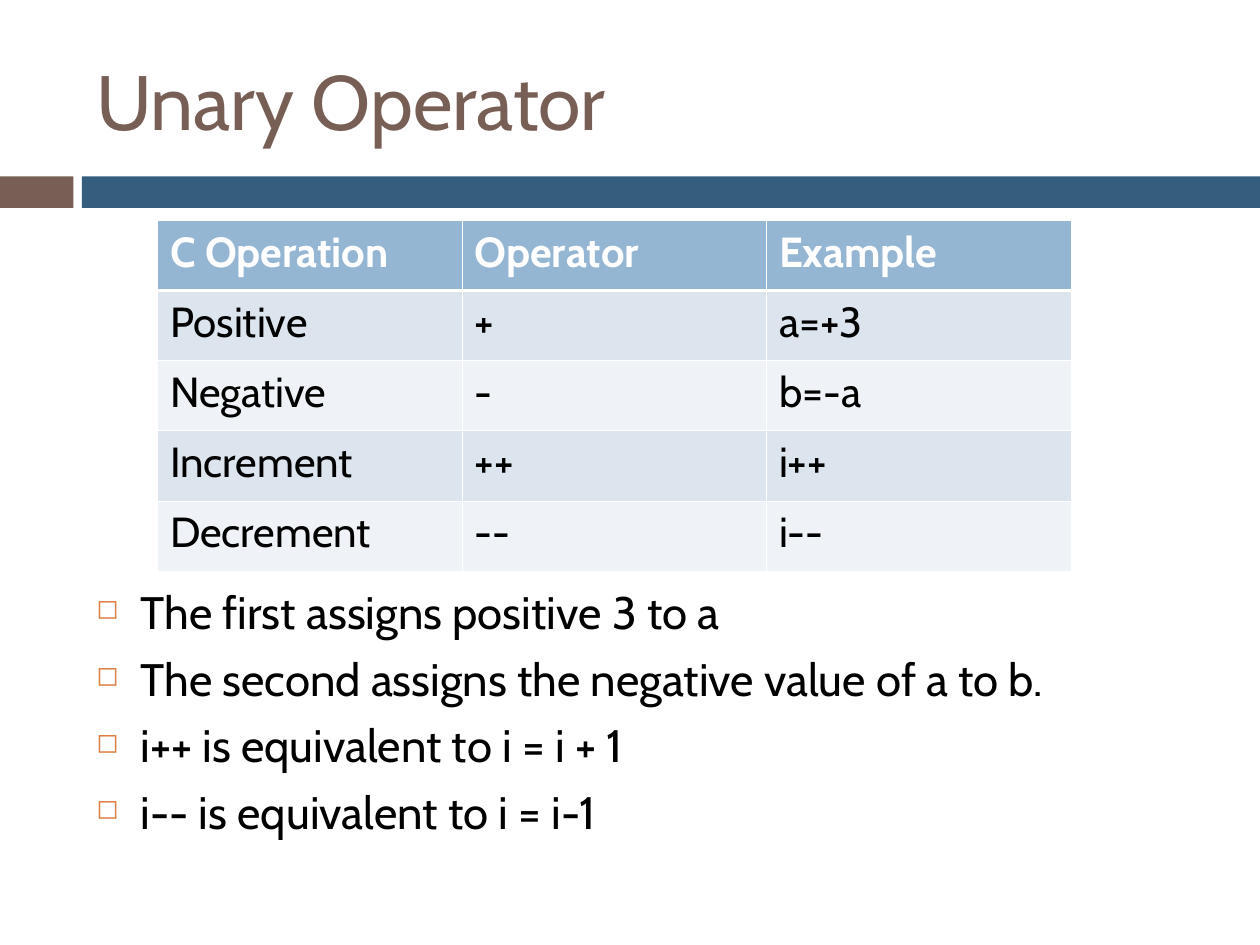
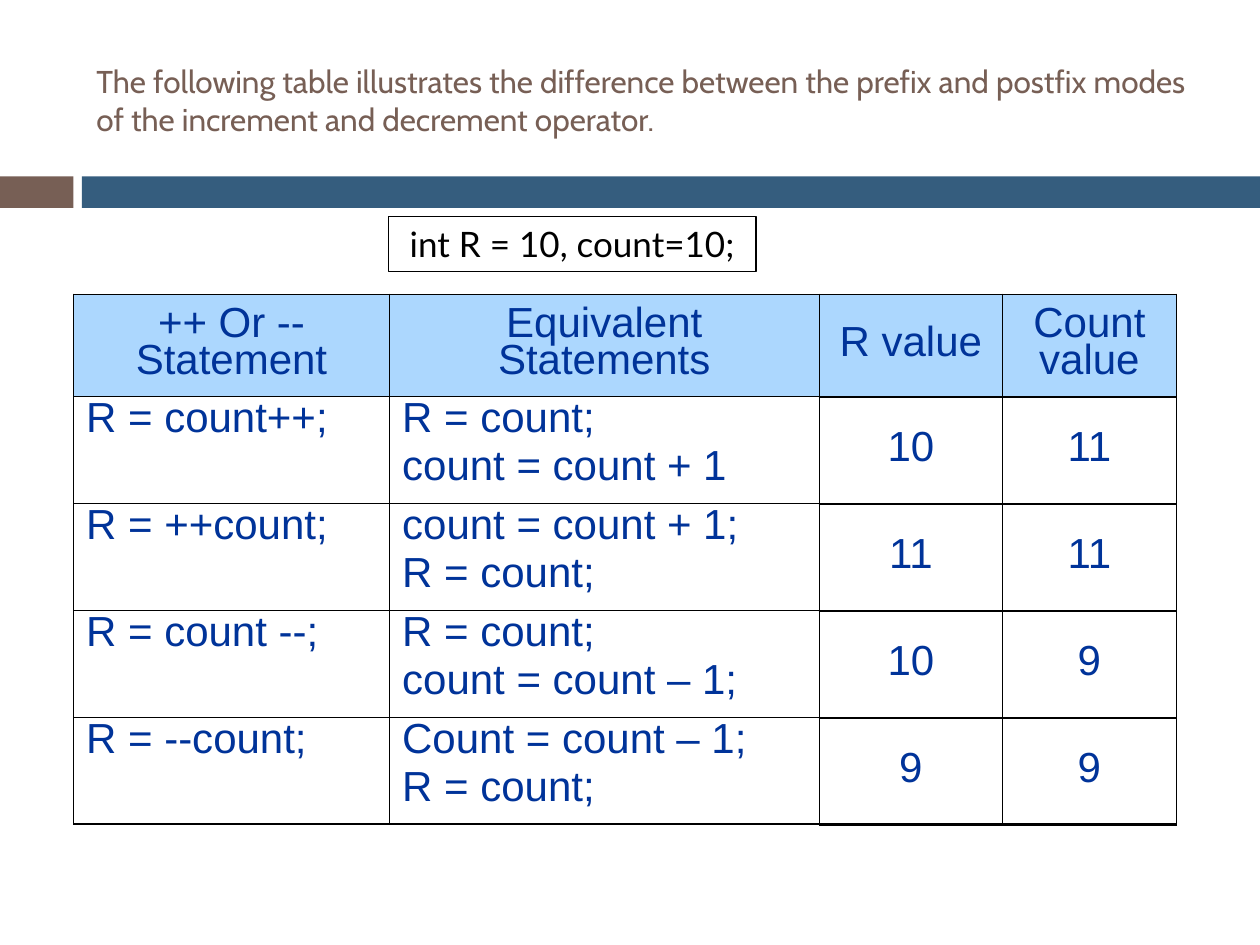
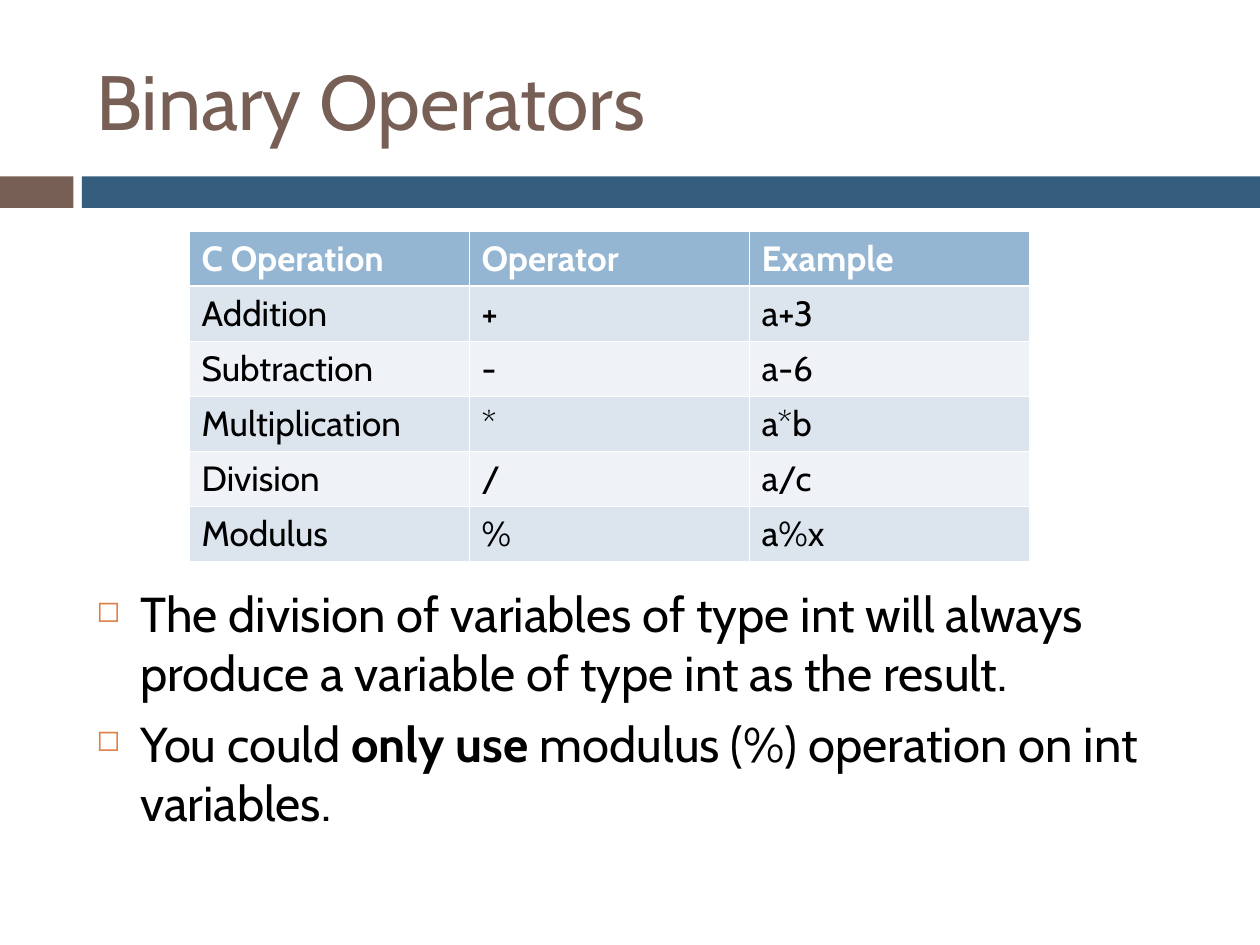
from lxml import etree
from pptx import Presentation, util as u
from pptx.dml.color import RGBColor
from pptx.enum import shapes, text
from pptx.oxml import ns

COLORS = {
    "brown": "775F55", "blue": "355D7E", "orange": "DD8047",
    "black": "000000", "white": "FFFFFF", "navy": "003399",
    "header": "94B6D2", "band_dark": "DCE5EE", "band_light": "EFF3F7",
    "sky": "ACD7FE",
}
FONT = "Cabin"
CELL = u.Inches(1) / 12  # the slide is a grid of 120 columns by 90 rows

TITLE_BOX = (8, 3, 107, 13)
BANDS = {"brown": (0, 16.8, 7, 3), "blue": (7.8, 16.8, 112.2, 3)}

UNARY_ROWS = [
    ["C Operation", "Operator", "Example"],
    ["Positive", "+", "a=+3"],
    ["Negative", "-", "b=-a"],
    ["Increment", "++", "i++"],
    ["Decrement", "--", "i--"],
]
UNARY_NOTES = [
    ["The first assigns positive 3 to a"],
    ["The second assigns the negative value of a to b."],
    ["i++ is equivalent to i = i + 1"],
    ["i-- is equivalent to i = i-1"],
]
BINARY_ROWS = [
    ["C Operation", "Operator", "Example"],
    ["Addition", "+", "a+3"],
    ["Subtraction", "-", "a-6"],
    ["Multiplication", "*", "a*b"],
    ["Division", "/", "a/c"],
    ["Modulus", "%", "a%x"],
]
# Every second run of a note is bold.
BINARY_NOTES = [
    ["The division of variables of type int will always produce "
     "a variable of type int as the result."],
    ["You could ", "only use", " modulus (%) operation on int variables."],
]
STATEMENT_ROWS = [
    ["++ Or -- Statement", "Equivalent Statements", "R value", "Count value"],
    ["R = count++;", "R = count;\ncount = count + 1", "", ""],
    ["R = ++count;", "count = count + 1;\nR = count;", "", ""],
    ["R = count --;", "R = count;\ncount = count – 1;", "", ""],
    ["R = --count;", "Count = count – 1;\nR = count;", "", ""],
]
RESULT_ROWS = [["10", "11"], ["11", "11"], ["10", "9"], ["9", "9"]]
STATEMENT_WIDTHS = [30.1, 40.9, 17.5, 16.5]
HEADER_HEIGHT, STATEMENT_HEIGHT = 9.7, 10.2


def grid(*lengths):
    return [u.Emu(round(length * CELL)) for length in lengths]


def rgb(name):
    return RGBColor.from_string(COLORS[name])


def add_run(paragraph, content, size, color, font=FONT, bold=False):
    run = paragraph.add_run()
    run.text = content
    run.font.size = u.Pt(size)
    run.font.name = font
    run.font.bold = bold
    run.font.color.rgb = rgb(color)


def add_text_frame(slide, box, anchor=text.MSO_ANCHOR.TOP):
    frame = slide.shapes.add_textbox(*grid(*box)).text_frame
    frame.word_wrap = True
    frame.vertical_anchor = anchor
    return frame


def add_rectangle(slide, box):
    shape = slide.shapes.add_shape(shapes.MSO_SHAPE.RECTANGLE, *grid(*box))
    shape.shadow.inherit = False
    return shape


def add_titled_slide(presentation, title, size=44):
    slide = presentation.slides.add_slide(presentation.slide_layouts[6])
    for color, box in BANDS.items():
        band = add_rectangle(slide, box)
        band.fill.solid()
        band.fill.fore_color.rgb = rgb(color)
        band.line.fill.background()
    frame = add_text_frame(slide, TITLE_BOX, text.MSO_ANCHOR.MIDDLE)
    add_run(frame.paragraphs[0], title, size, "brown")
    return slide


def set_bullet(paragraph):
    properties = paragraph._p.get_or_add_pPr()
    properties.set("marL", str(u.Inches(0.35)))
    properties.set("indent", str(-u.Inches(0.35)))
    color = etree.SubElement(properties, ns.qn("a:buClr"))
    etree.SubElement(color, ns.qn("a:srgbClr"), val=COLORS["orange"])
    etree.SubElement(properties, ns.qn("a:buSzPct"), val="60000")
    etree.SubElement(properties, ns.qn("a:buChar"), char="◻")


def add_notes(slide, box, notes, size):
    frame = add_text_frame(slide, box)
    for index, runs in enumerate(notes):
        paragraph = frame.add_paragraph() if index else frame.paragraphs[0]
        paragraph.space_before = u.Pt(7)
        set_bullet(paragraph)
        for position, content in enumerate(runs):
            add_run(paragraph, content, size, "black", bold=position % 2 == 1)


def set_borders(cell, color, top, bottom, side=0.45):
    properties = cell._tc.get_or_add_tcPr()
    for edge, width in zip("LRTB", (side, side, top, bottom)):
        line = etree.SubElement(properties, ns.qn(f"a:ln{edge}"), w=str(u.Pt(width)))
        fill = etree.SubElement(line, ns.qn("a:solidFill"))
        etree.SubElement(fill, ns.qn("a:srgbClr"), val=COLORS[color])


def add_grid_table(slide, left, top, widths, heights, border, thick_row, thick_width):
    """Add an unstyled bordered table; the line under thick_row is heavier."""
    box = grid(left, top, sum(widths), sum(heights))
    table = slide.shapes.add_table(len(heights), len(widths), *box).table
    table.first_row = table.horz_banding = False
    for column, width in zip(table.columns, grid(*widths)):
        column.width = width
    for index, (row, height) in enumerate(zip(table.rows, grid(*heights))):
        row.height = height
        upper = thick_width if index == thick_row + 1 else 0.45
        lower = thick_width if index == thick_row else 0.45
        for cell in row.cells:
            set_borders(cell, border, upper, lower)
            cell.fill.background()
    return table


def fill_cell(cell, color):
    cell.fill.solid()
    cell.fill.fore_color.rgb = rgb(color)


def add_operator_table(slide, box, rows, size):
    left, top, width, height = box
    columns = len(rows[0])
    table = add_grid_table(slide, left, top, [width / columns] * columns,
                           [height / len(rows)] * len(rows), "white", 0, 1.47)
    for index, (row, contents) in enumerate(zip(table.rows, rows)):
        is_header = index == 0
        band = "header" if is_header else ("band_light", "band_dark")[index % 2]
        for cell, content in zip(row.cells, contents):
            fill_cell(cell, band)
            add_run(cell.text_frame.paragraphs[0], content, size,
                    "white" if is_header else "black", bold=is_header)


def write_statement(cell, content, centered):
    if centered:
        cell.vertical_anchor = text.MSO_ANCHOR.MIDDLE
    frame = cell.text_frame
    for index, line in enumerate(content.split("\n")):
        paragraph = frame.add_paragraph() if index else frame.paragraphs[0]
        paragraph.line_spacing = 0.8
        paragraph.space_before = u.Pt(6)
        if centered:
            paragraph.alignment = text.PP_ALIGN.CENTER
        add_run(paragraph, line, 24, "navy", "Arial")


def add_statement_tables(slide, left, top):
    """Place the statements, with the results over their last two columns."""
    body_heights = [STATEMENT_HEIGHT] * len(RESULT_ROWS)
    statements = add_grid_table(slide, left, top, STATEMENT_WIDTHS,
                                [HEADER_HEIGHT] + body_heights, "black",
                                len(RESULT_ROWS), 1.08)
    for index, (row, contents) in enumerate(zip(statements.rows, STATEMENT_ROWS)):
        for cell, content in zip(row.cells, contents):
            if index == 0:
                fill_cell(cell, "sky")
            if content:
                write_statement(cell, content, centered=index == 0)

    results = add_grid_table(slide, left + sum(STATEMENT_WIDTHS[:2]),
                             top + HEADER_HEIGHT + 0.1, STATEMENT_WIDTHS[2:],
                             body_heights, "black", len(RESULT_ROWS) - 1, 1.08)
    for row, contents in zip(results.rows, RESULT_ROWS):
        for cell, content in zip(row.cells, contents):
            write_statement(cell, content, centered=True)


def add_declaration(slide, box, content):
    shape = add_rectangle(slide, box)
    shape.fill.background()
    shape.line.color.rgb = rgb("black")
    shape.line.width = u.Pt(0.75)
    shape.text_frame.word_wrap = True
    shape.text_frame.vertical_anchor = text.MSO_ANCHOR.TOP
    paragraph = shape.text_frame.paragraphs[0]
    paragraph.alignment = text.PP_ALIGN.CENTER
    add_run(paragraph, content, 20, "black", "Lato")


def main():
    presentation = Presentation()
    presentation.slide_width, presentation.slide_height = grid(120, 90)

    unary = add_titled_slide(presentation, "Unary Operator")
    add_notes(unary, (8, 55, 107, 27), UNARY_NOTES, 26)
    add_operator_table(unary, (15, 21, 87, 33.4), UNARY_ROWS, 24)

    modes = add_titled_slide(
        presentation,
        "The following table illustrates the difference between the prefix and "
        "postfix modes of the increment and decrement operator.", 18)
    add_declaration(modes, (37, 20.6, 35, 5.3), "int R = 10, count=10;")
    add_statement_tables(modes, 7, 28)

    binary = add_titled_slide(presentation, "Binary Operators")
    add_notes(binary, (8, 55, 107, 25), BINARY_NOTES, 28)
    add_operator_table(binary, (18, 22, 80, 31.5), BINARY_ROWS, 20)

    presentation.save("out.pptx")


if __name__ == "__main__":
    main()
